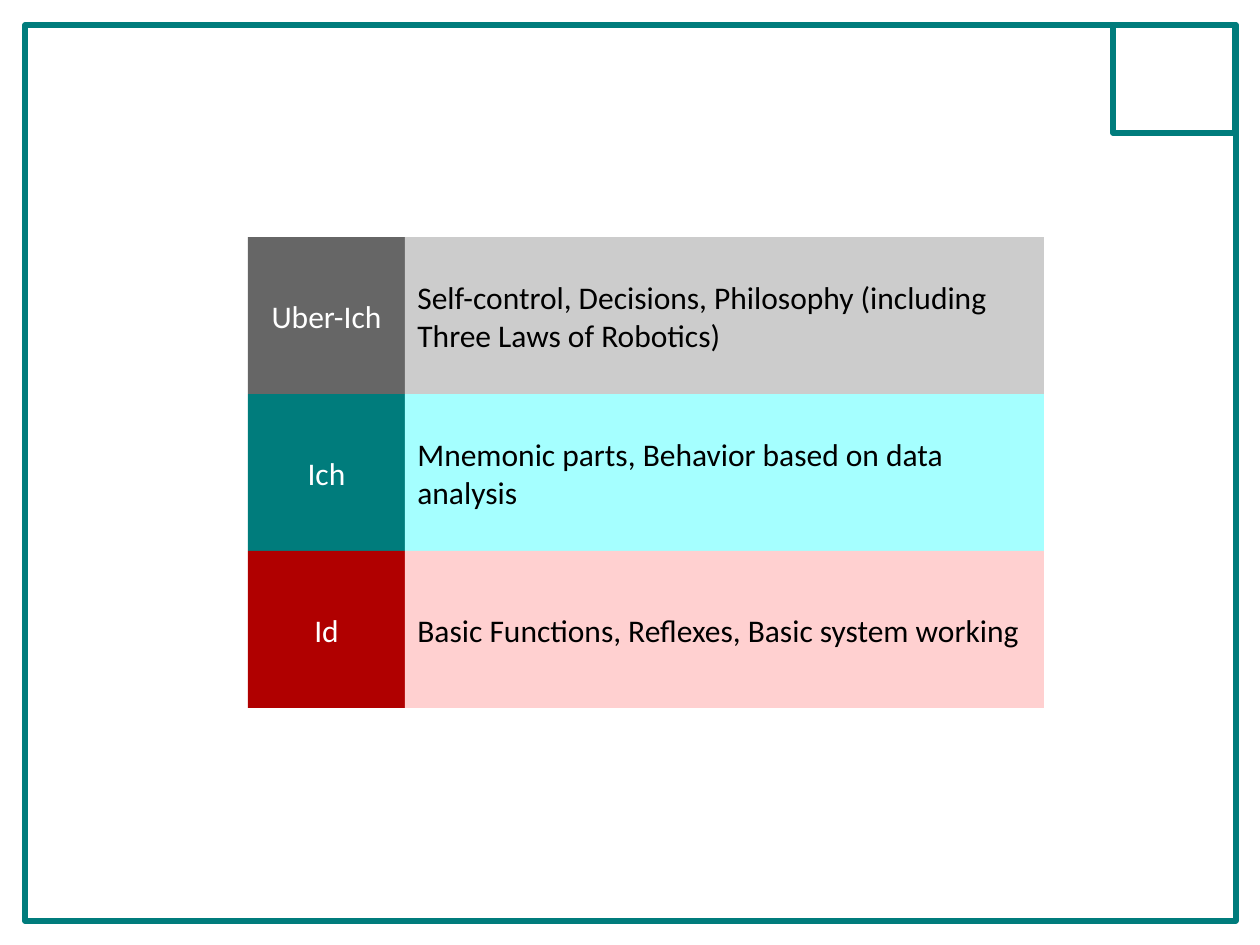
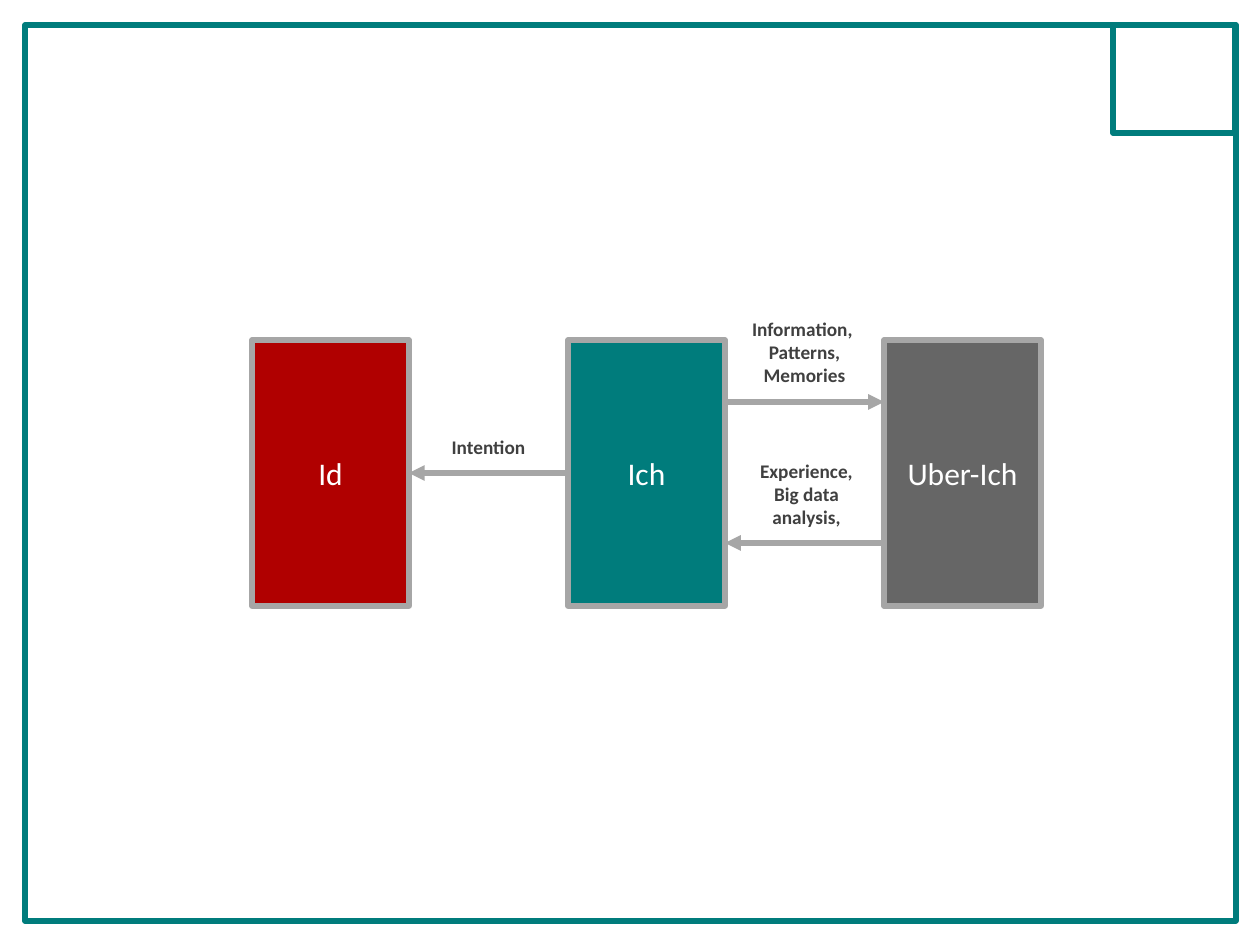
"""Build two framed slides on the layers of a robot mind and how they interact."""
from dataclasses import dataclass

from lxml.etree import SubElement
from pptx import Presentation
from pptx.dml.color import RGBColor
from pptx.enum.shapes import MSO_CONNECTOR as Connector, MSO_SHAPE as Shape
from pptx.enum.text import MSO_ANCHOR as Anchor, PP_ALIGN as Align
from pptx.oxml.ns import qn
from pptx.util import Emu, Inches, Pt

PIXEL = Inches(1) / 126
FONT = "Calibri"
TEAL, WHITE, BLACK = "007C7C", "FFFFFF", "000000"
LINE_GRAY, LABEL_GRAY = "A6A6A6", "404040"
LINE_WIDTH = 3
BOX_WIDTH = 157
TABLE_LEFT, TABLE_TOP, DETAIL_WIDTH = 248, 237, 639
FLOW_LEFT, FLOW_TOP, FLOW_HEIGHT, FLOW_STEP = 252, 340, 266, 316


@dataclass(frozen=True)
class Layer:
    name: str
    color: str
    tint: str
    detail: str


@dataclass(frozen=True)
class Flow:
    source: int
    target: int
    y: int
    label_left: int
    label_top: int
    label_height: int
    lines: tuple[str, ...]


LAYERS = (
    Layer("Uber-Ich", "666666", "CCCCCC",
          "Self-control, Decisions, Philosophy (including Three Laws of Robotics)"),
    Layer("Ich", TEAL, "A5FFFF", "Mnemonic parts, Behavior based on data analysis"),
    Layer("Id", "B00000", "FFD0D0", "Basic Functions, Reflexes, Basic system working"),
)
FLOWS = (
    Flow(1, 0, 473, 409, 428, 37, ("Intention",)),
    Flow(1, 2, 402, 725, 310, 83, ("Information, ", "Patterns,", "Memories")),
    Flow(2, 1, 543, 727, 452, 83, ("Experience,", "Big data analysis,")),
)


def px(value: float) -> Emu:
    """Turn pixels into EMU."""
    return Emu(round(value * PIXEL))


def rgb(color: str) -> RGBColor:
    """Turn a hex string into a colour."""
    return RGBColor.from_string(color)


def write(shape, *lines: str, size: int = 18, color: str = WHITE, bold: bool = False,
          align=Align.CENTER, anchor=Anchor.MIDDLE) -> None:
    """Write one paragraph per line into a shape."""
    frame = shape.text_frame
    frame.word_wrap = True
    frame.vertical_anchor = anchor
    for index, line in enumerate(lines):
        para = frame.add_paragraph() if index else frame.paragraphs[0]
        para.alignment = align
        span = para.add_run()
        span.text = line
        span.font.name, span.font.size, span.font.bold = FONT, Pt(size), bold
        span.font.color.rgb = rgb(color)


def add_box(page, left: int, top: int, width: int, height: int,
            fill: str | None = None, line: str | None = None):
    """Add a rectangle with an optional fill and outline."""
    box = page.shapes.add_shape(Shape.RECTANGLE, px(left), px(top), px(width), px(height))
    box.shadow.inherit = False
    if fill:
        box.fill.solid()
        box.fill.fore_color.rgb = rgb(fill)
    else:
        box.fill.background()
    if line:
        box.line.color.rgb = rgb(line)
        box.line.width = Pt(LINE_WIDTH)
    else:
        box.line.fill.background()
    return box


def add_arrow(page, start: int, end: int, y: int) -> None:
    """Add a horizontal arrow pointing at its end."""
    arrow = page.shapes.add_connector(Connector.STRAIGHT, px(start), px(y), px(end), px(y))
    arrow.line.color.rgb = rgb(LINE_GRAY)
    arrow.line.width = Pt(LINE_WIDTH)
    SubElement(arrow.line._get_or_add_ln(), qn("a:tailEnd"), type="triangle")
    SubElement(arrow._element.spPr, qn("a:effectLst"))


def add_page(deck):
    """Add a blank page with the teal frame and corner square."""
    page = deck.slides.add_slide(deck.slide_layouts[6])
    add_box(page, 25, 25, 1211, 896, line=TEAL)
    add_box(page, 1113, 25, 122, 108, line=TEAL)
    return page


def build_layers(deck) -> None:
    """Stack the layers with their descriptions."""
    page = add_page(deck)
    for index, layer in enumerate(LAYERS):
        top = TABLE_TOP + index * BOX_WIDTH
        write(add_box(page, TABLE_LEFT, top, BOX_WIDTH, BOX_WIDTH, layer.color), layer.name)
        detail = add_box(page, TABLE_LEFT + BOX_WIDTH, top, DETAIL_WIDTH, BOX_WIDTH, layer.tint)
        write(detail, layer.detail, color=BLACK, align=Align.LEFT)


def build_flows(deck) -> None:
    """Set the layers side by side and join them with labelled arrows."""
    page = add_page(deck)
    lefts = [FLOW_LEFT + index * FLOW_STEP for index in range(len(LAYERS))]
    for left, layer in zip(lefts, reversed(LAYERS)):
        box = add_box(page, left, FLOW_TOP, BOX_WIDTH, FLOW_HEIGHT, layer.color, LINE_GRAY)
        write(box, layer.name)
    for flow in FLOWS:
        start, end = lefts[flow.source], lefts[flow.target]
        if start < end:
            start += BOX_WIDTH
        else:
            end += BOX_WIDTH
        add_arrow(page, start, end, flow.y)
        label = page.shapes.add_textbox(px(flow.label_left), px(flow.label_top),
                                        px(FLOW_STEP - BOX_WIDTH), px(flow.label_height))
        write(label, *flow.lines, size=11, color=LABEL_GRAY, bold=True, anchor=Anchor.BOTTOM)


def main() -> None:
    """Build and save the deck."""
    deck = Presentation()
    deck.slide_width, deck.slide_height = px(1260), px(945)
    build_layers(deck)
    build_flows(deck)
    deck.save("out.pptx")


main()
